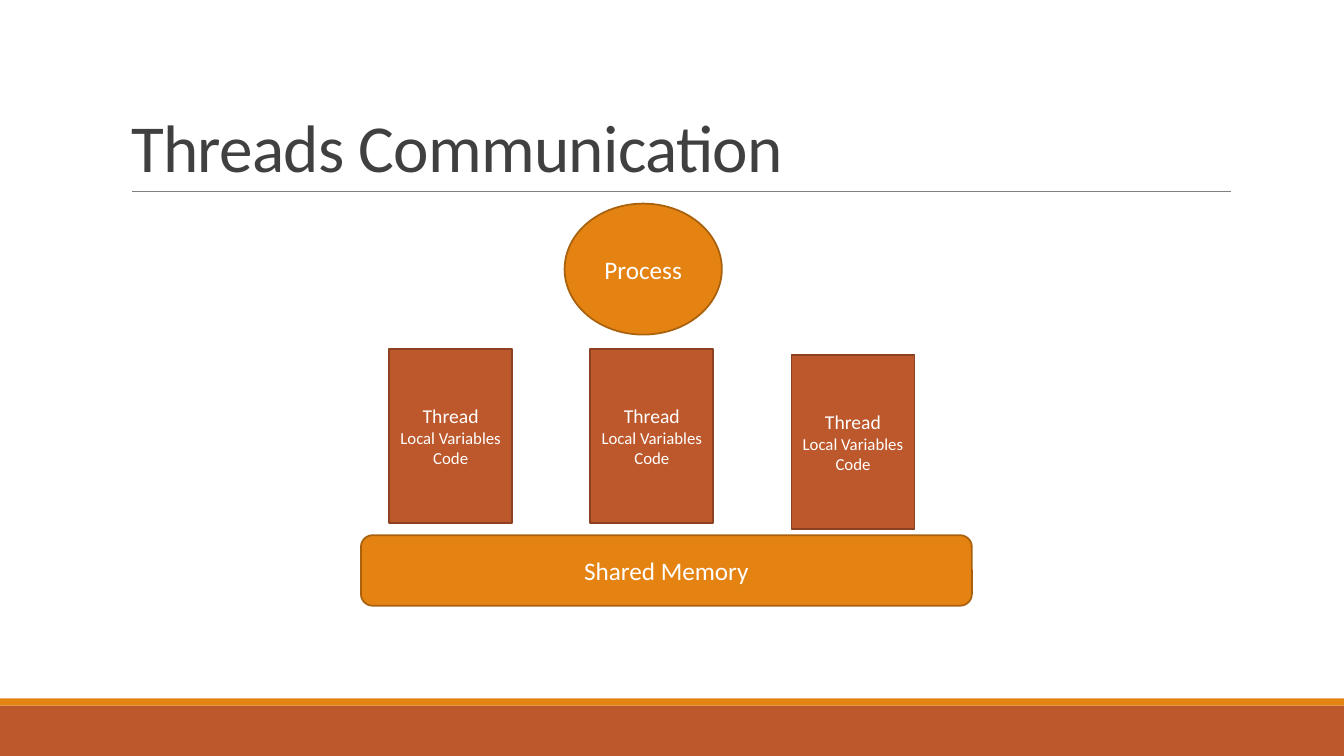
import pptx
import pptx.util
import pptx.dml.color
import pptx.enum.shapes
import pptx.enum.text
import pptx.oxml
from pptx.util import Inches

SHAPES = pptx.enum.shapes.MSO_SHAPE
ANCHOR = pptx.enum.text.MSO_ANCHOR
ALIGN = pptx.enum.text.PP_ALIGN
THEME = {
    "font": "Calibri",
    "orange": "E48312", "orange_edge": "A9610D",
    "rust": "BD582C", "rust_edge": "8C4121",
    "rule": "808080", "title": "404040", "label": "FFFFFF",
    "title_size": 48, "label_size": 18, "thread_size": 14, "detail_size": 12,
}


def color(name):
    return pptx.dml.color.RGBColor.from_string(THEME[name])


def add_block(kind, box, fill, edge=None, lines=()):
    """Add a filled shape; lines holds (text, size name) pairs, one per paragraph."""
    shape = slide.shapes.add_shape(kind, *map(Inches, box))
    shape.shadow.inherit = False
    shape.fill.solid()
    shape.fill.fore_color.rgb = color(fill)
    if edge:
        shape.line.color.rgb = color(edge)
        shape.line.width = pptx.util.Pt(1.25)
    else:
        shape.line.fill.background()
    frame = shape.text_frame
    frame.vertical_anchor = ANCHOR.MIDDLE
    for index, (text, size) in enumerate(lines):
        paragraph = frame.add_paragraph() if index else frame.paragraphs[0]
        paragraph.text = text
        paragraph.alignment = ALIGN.CENTER
        font_format = {"name": THEME["font"], "size": pptx.util.Pt(THEME[size])}
        for attribute, value in font_format.items():
            setattr(paragraph.runs[0].font, attribute, value)
        paragraph.runs[0].font.color.rgb = color("label")


presentation = pptx.Presentation()
presentation.slide_width = Inches(13.33)
presentation.slide_height = Inches(7.5)
slide = presentation.slides.add_slide(presentation.slide_layouts[5])

# Footer bands and the rule under the title
add_block(SHAPES.RECTANGLE, (0, 7, 13.33, 0.5), "rust")
add_block(SHAPES.RECTANGLE, (0, 6.93, 13.33, 0.07), "orange")
title_rule = slide.shapes.add_connector(
    pptx.enum.shapes.MSO_CONNECTOR.STRAIGHT,
    Inches(1.31), Inches(1.9), Inches(12.21), Inches(1.9))
title_rule.line.color.rgb = color("rule")
title_rule.line.width = pptx.util.Pt(0.5)
title_rule._element.spPr.append(pptx.oxml.parse_xml(
    '<a:effectLst xmlns:a="http://schemas.openxmlformats.org/drawingml/2006/main"/>'))

# Title
title = slide.shapes.title
title_box = {"left": 1.2, "top": 0.31, "width": 11, "height": 1.59}
for attribute, value in title_box.items():
    setattr(title, attribute, Inches(value))
title.text_frame.text = "Threads Communication"
title.text_frame.vertical_anchor = ANCHOR.BOTTOM
title.text_frame.auto_size = pptx.enum.text.MSO_AUTO_SIZE.NONE
paragraph = title.text_frame.paragraphs[0]
paragraph.alignment = ALIGN.LEFT
paragraph.line_spacing = 0.85
title_run = paragraph.runs[0]
title_format = {"name": THEME["font"], "size": pptx.util.Pt(THEME["title_size"])}
for attribute, value in title_format.items():
    setattr(title_run.font, attribute, value)
title_run.font.color.rgb = color("title")
title_run._r.get_or_add_rPr().set("spc", "-50")

# Process, shared memory and the three threads between them
add_block(SHAPES.OVAL, (5.6, 2.02, 1.56, 1.3), "orange", "orange_edge",
          [("Process", "label_size")])
add_block(SHAPES.ROUNDED_RECTANGLE, (3.58, 5.31, 6.06, 0.7), "orange", "orange_edge",
          [("Shared Memory", "label_size")])
thread_lines = [("Thread", "thread_size"), ("Local Variables", "detail_size"),
                ("Code", "detail_size")]
for column, top in enumerate((3.46, 3.46, 3.52)):
    add_block(SHAPES.RECTANGLE, (3.86 + column * 1.995, top, 1.22, 1.73),
              "rust", "rust_edge", thread_lines)

presentation.save("out.pptx")
